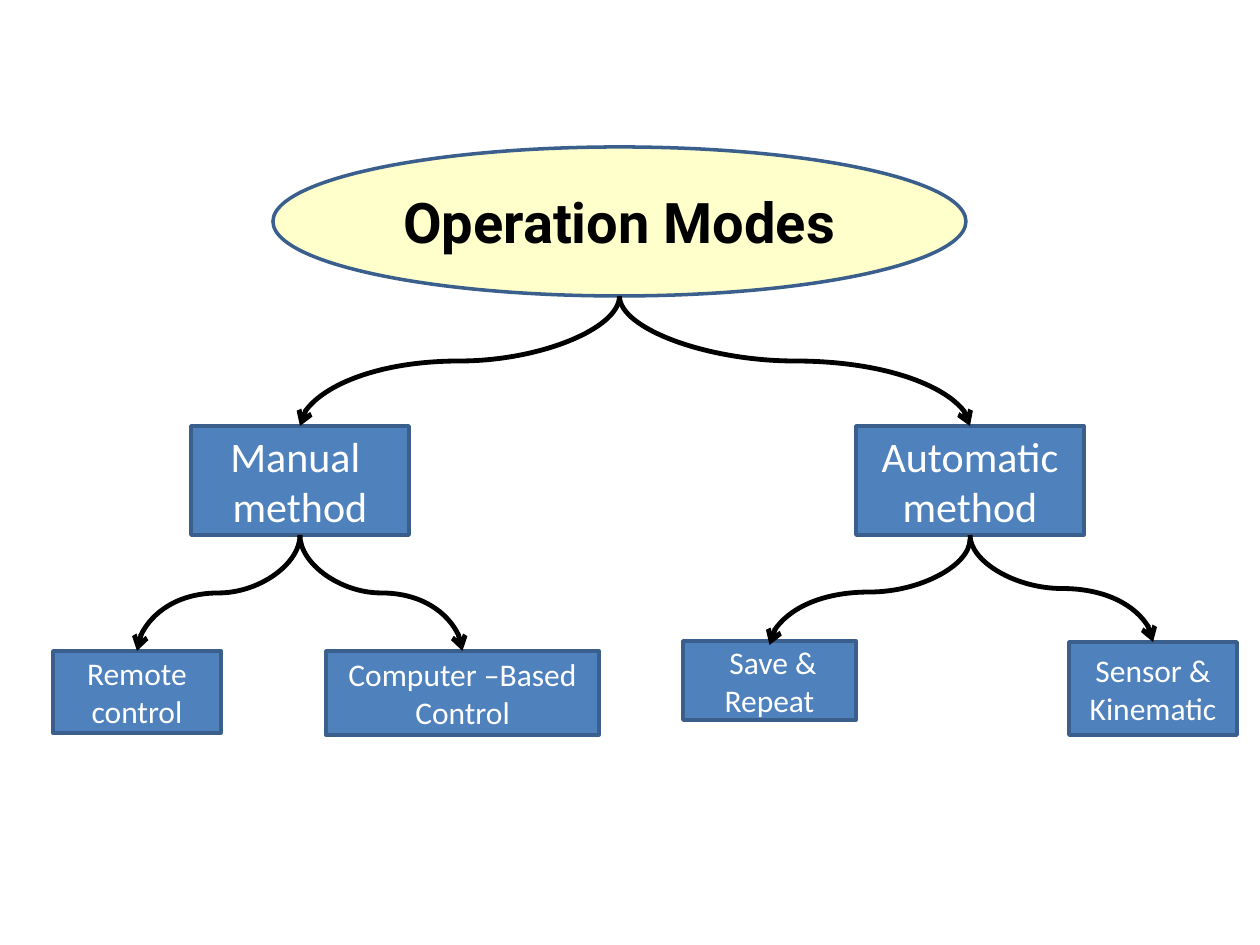
import pptx
import pptx.dml.color
import pptx.enum.shapes
import pptx.enum.text
import pptx.oxml
import pptx.oxml.ns
import pptx.util
from lxml import etree

PX = 914400 / 126


def px(length):
    """Turn px into EMU."""
    return pptx.util.Emu(round(length * PX))


def color(value):
    """Turn a hex string into a colour."""
    return pptx.dml.color.RGBColor.from_string(value)


class Diagram:
    """Draws the nodes and arrows of a tree on one slide."""

    OUTLINE = "3A5F8C"
    BOX_FILL = "4F81BD"

    def __init__(self, slide):
        """Keep the slide to draw on."""
        self.slide = slide

    def node(self, kind, bounds, lines, size, fill, ink, font, bold=False):
        """Add a filled shape with centred text."""
        shape = self.slide.shapes.add_shape(kind, *map(px, bounds))
        shape.shadow.inherit = False
        shape.fill.solid()
        shape.fill.fore_color.rgb = color(fill)
        shape.line.color.rgb = color(self.OUTLINE)
        shape.line.width = pptx.util.Pt(2)
        frame = shape.text_frame
        frame.word_wrap = True
        frame.vertical_anchor = pptx.enum.text.MSO_ANCHOR.MIDDLE
        for index, line in enumerate(lines):
            paragraph = frame.add_paragraph() if index else frame.paragraphs[0]
            paragraph.text = line
            paragraph.alignment = pptx.enum.text.PP_ALIGN.CENTER
            paragraph.font.name = font
            paragraph.font.size = pptx.util.Pt(size)
            paragraph.font.bold = bold
            paragraph.font.color.rgb = color(ink)
        return shape

    def root(self, bounds, text):
        """Add the translucent ellipse at the top of the tree."""
        shape = self.node(pptx.enum.shapes.MSO_SHAPE.OVAL, bounds, [text], 32,
                          "FFFF99", "000000", "Roboto", bold=True)
        fill = shape.fill._xPr.find(pptx.oxml.ns.qn("a:solidFill"))
        etree.SubElement(fill[0], pptx.oxml.ns.qn("a:alpha"), val="51000")
        return shape

    def box(self, bounds, lines, size):
        """Add a blue box."""
        return self.node(pptx.enum.shapes.MSO_SHAPE.RECTANGLE, bounds, lines, size,
                         self.BOX_FILL, "FFFFFF", "Calibri")

    def arrow(self, parent, child, drop=0):
        """Curve an arrow from the parent's bottom to the child's top."""
        start_x = parent.left + parent.width // 2
        end_x = child.left + child.width // 2
        start_y = parent.top + parent.height + px(drop)
        end_y = child.top + px(drop)
        width, height = end_y - start_y, abs(end_x - start_x)
        left = (start_x + end_x - width) // 2
        top = (start_y + end_y - height) // 2
        connector = self.slide.shapes.add_connector(
            pptx.enum.shapes.MSO_CONNECTOR.CURVE, left, top, left + width, top + height)
        connector.line.color.rgb = color("000000")
        connector.line.width = pptx.util.Pt(2.75)
        properties = connector._element.spPr
        transform = properties.find(pptx.oxml.ns.qn("a:xfrm"))
        quarter_turns = 3 if end_x > start_x else 1
        transform.set("rot", str(quarter_turns * 90 * 60000))
        if end_x > start_x:
            transform.set("flipH", "1")
        line = properties.find(pptx.oxml.ns.qn("a:ln"))
        etree.SubElement(line, pptx.oxml.ns.qn("a:tailEnd"), type="arrow")
        etree.SubElement(properties, pptx.oxml.ns.qn("a:effectLst"))


def main():
    """Build the slide and save it."""
    presentation = pptx.Presentation()
    presentation.slide_width = px(1260)
    presentation.slide_height = px(945)
    diagram = Diagram(presentation.slides.add_slide(presentation.slide_layouts[6]))

    modes = diagram.root((273, 147, 693, 149), "Operation Modes")
    manual = diagram.box((191, 426, 218, 109), ["Manual ", "method"], 24)
    automatic = diagram.box((856, 426, 228, 109), ["Automatic method"], 24)
    remote = diagram.box((53, 651, 168, 82), ["Remote control"], 18)
    computer = diagram.box((326, 651, 273, 84), ["Computer –Based Control"], 18)
    save = diagram.box((683, 641, 173, 79), [" Save &", "Repeat"], 18)
    sensor = diagram.box((1069, 642, 168, 93), ["Sensor & Kinematic"], 18)

    for parent, children in ((modes, (automatic, manual)),
                             (manual, (remote, computer)),
                             (automatic, (sensor,))):
        for child in children:
            diagram.arrow(parent, child)
    diagram.arrow(automatic, save, drop=4)

    presentation.save("out.pptx")


if __name__ == "__main__":
    main()
